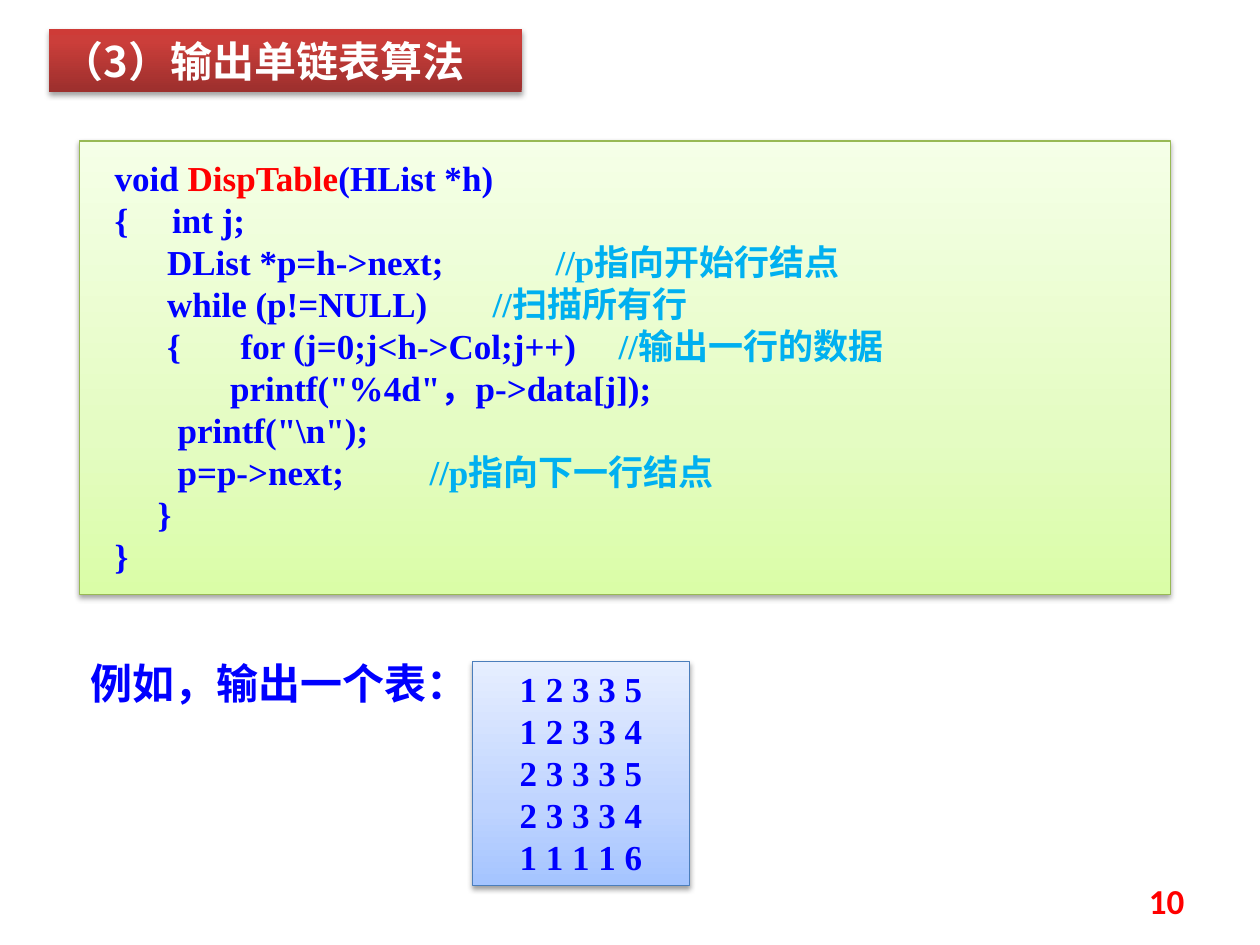
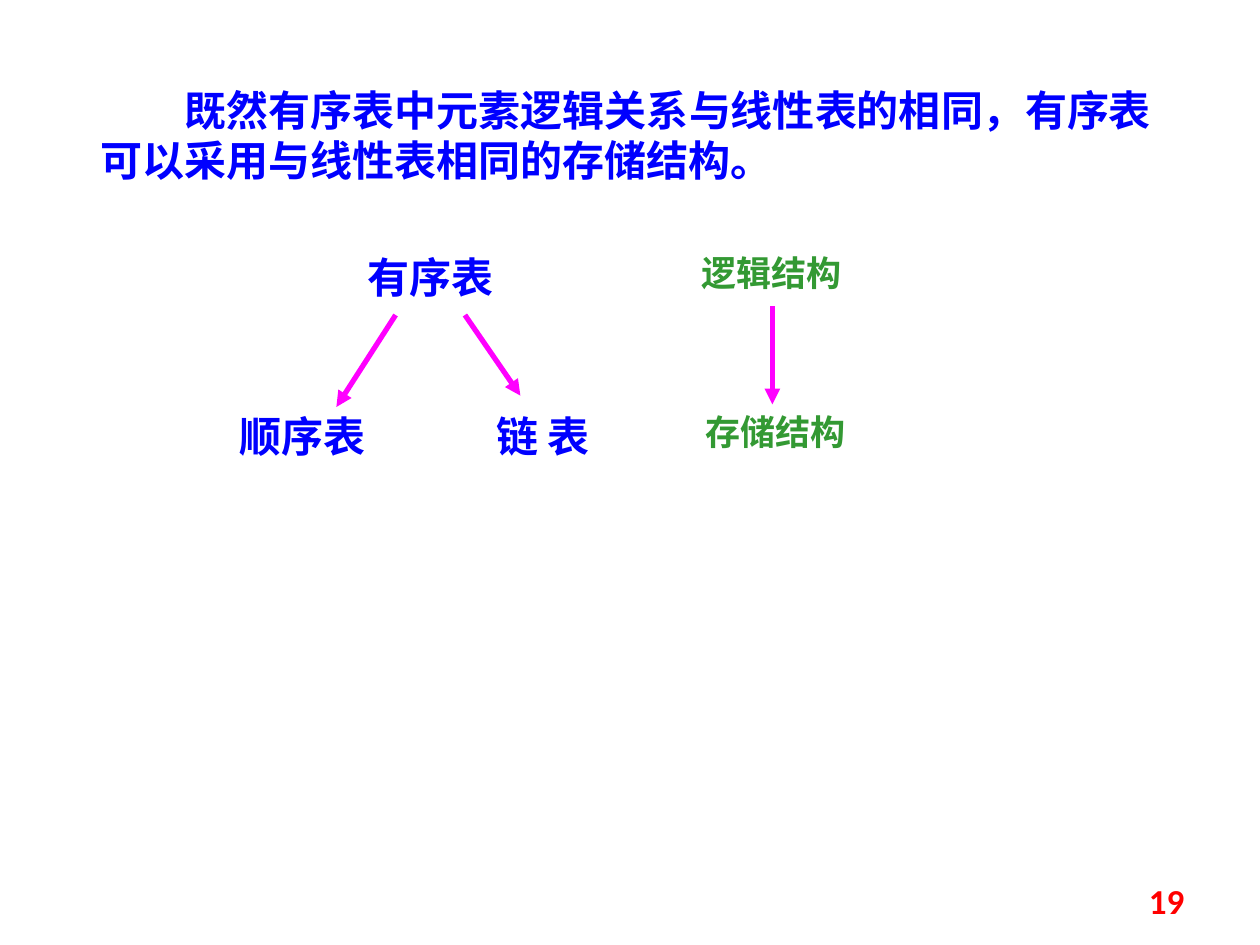
from dataclasses import dataclass

from lxml import etree
from pptx import Presentation
from pptx import util as u
from pptx.dml.color import RGBColor
from pptx.enum import shapes, text
from pptx.oxml import ns


@dataclass(frozen=True)
class Theme:
    # Colours
    blue: str = "0000FF"
    red: str = "FF0000"
    comment: str = "00B0F0"
    green: str = "339933"
    arrow: str = "FF00FF"
    white: str = "FFFFFF"
    code_line: str = "98B955"
    output_line: str = "4B7EBC"
    # Gradients run upwards: position in percent, colour
    title_fill: tuple = ((0, "9C2F2D"), (80, "CB3E3A"), (100, "CE3B37"))
    code_fill: tuple = ((0, "DAFDA7"), (35, "E4FCC2"), (100, "F5FFE7"))
    output_fill: tuple = ((0, "A4C4FF"), (35, "BFD4FF"), (100, "E6EEFF"))
    # Type
    chinese: str = "Noto Sans CJK SC"
    body: str = "Times New Roman"
    number: str = "Calibri"
    large: int = 24
    normal: int = 20


THEME = Theme()
LEFT, CENTER = text.PP_ALIGN.LEFT, text.PP_ALIGN.CENTER
TOP, MIDDLE = text.MSO_ANCHOR.TOP, text.MSO_ANCHOR.MIDDLE

CODE_LINES = [
    [("void ", THEME.blue), ("DispTable", THEME.red), ("(HList *h)", THEME.blue)],
    "{     int j;",
    [("      DList *p=h->next;\t\t", THEME.blue), ("//p指向开始行结点", THEME.comment)],
    [("      while (p!=NULL)\t\t", THEME.blue), ("//扫描所有行", THEME.comment)],
    [("      {\tfor (j=0;j<h->Col;j++)\t", THEME.blue), ("//输出一行的数据", THEME.comment)],
    '\t      printf("%4d"，p->data[j]);',
    '\tprintf("\\n");',
    [("\tp=p->next;\t\t", THEME.blue), ("//p指向下一行结点", THEME.comment)],
    "　 }",
    "}",
]
OUTPUT_ROWS = ["1 2 3 3 5", "1 2 3 3 4", "2 3 3 3 5", "2 3 3 3 4", "1 1 1 1 6"]


def inches(*lengths):
    return [u.Inches(length) for length in lengths]


def add_element(parent, tag, **attributes):
    element = etree.SubElement(parent, ns.qn(tag))
    for name, value in attributes.items():
        element.set(name, str(value))
    return element


def style_font(font, name, size, color):
    font.name, font.size, font.bold = name, u.Pt(size), True
    font.color.rgb = RGBColor.from_string(color)
    add_element(font._element, "a:ea", typeface=THEME.chinese)


def write(shape, lines, size, color=THEME.blue, font=THEME.body,
          align=LEFT, anchor=TOP, margins=(0.1, 0.05), indent=0):
    """Fill a shape with lines; a line is a string or a list of (text, colour)."""
    frame = shape.text_frame
    frame.word_wrap = True
    frame.auto_size = text.MSO_AUTO_SIZE.NONE
    frame.vertical_anchor = anchor
    frame.margin_left = frame.margin_right = u.Inches(margins[0])
    frame.margin_top = frame.margin_bottom = u.Inches(margins[1])
    for index, line in enumerate(lines):
        paragraph = frame.paragraphs[0] if index == 0 else frame.add_paragraph()
        paragraph.alignment = align
        if indent:
            paragraph._p.get_or_add_pPr().set("indent", str(u.Inches(indent)))
        style_font(paragraph.font, font, size, color)
        if isinstance(line, str):
            paragraph.add_run().text = line
            continue
        for words, run_color in line:
            run = paragraph.add_run()
            run.text = words
            run.font.color.rgb = RGBColor.from_string(run_color)


def style_panel(shape, stops, line_color=None):
    """Give a shape an upward gradient, an optional outline and a soft shadow."""
    shape.fill.gradient()
    shape.fill.gradient_angle = 90
    properties = shape._element.spPr
    stop_list = properties.find(".//" + ns.qn("a:gsLst"))
    for old_stop in list(stop_list):
        stop_list.remove(old_stop)
    for position, color in stops:
        stop = add_element(stop_list, "a:gs", pos=position * 1000)
        add_element(stop, "a:srgbClr", val=color)
    if line_color:
        shape.line.color.rgb = RGBColor.from_string(line_color)
        shape.line.width = u.Pt(0.75)
    else:
        shape.line.fill.background()
    effects = add_element(properties, "a:effectLst")
    shadow = add_element(effects, "a:outerShdw", blurRad=u.Pt(3.1), dist=u.Pt(1.7),
                         dir=90 * 60000, rotWithShape=0)
    shadow_color = add_element(shadow, "a:srgbClr", val="000000")
    add_element(shadow_color, "a:alpha", val=37000)


def add_title(slide, title, box):
    shape = slide.shapes.title
    shape.left, shape.top, shape.width, shape.height = inches(*box)
    style_panel(shape, THEME.title_fill)
    write(shape, [title], THEME.large, THEME.white, THEME.chinese)


def add_panel(slide, box, lines, stops, line_color, **options):
    panel = slide.shapes.add_shape(shapes.MSO_SHAPE.RECTANGLE, *inches(*box))
    style_panel(panel, stops, line_color)
    write(panel, lines, THEME.normal, **options)


def add_label(slide, box, words, size=THEME.large, **options):
    write(slide.shapes.add_textbox(*inches(*box)), [words], size, **options)


def add_arrow(slide, start, end):
    arrow = slide.shapes.add_connector(shapes.MSO_CONNECTOR.STRAIGHT, *inches(*start, *end))
    arrow.line.color.rgb = RGBColor.from_string(THEME.arrow)
    arrow.line.width = u.Pt(3)
    add_element(arrow.line._get_or_add_ln(), "a:tailEnd", type="triangle")
    add_element(arrow._element.spPr, "a:effectLst")


def add_page_number(slide, number):
    add_label(slide, (7.17, 6.95, 2.33, 0.4), str(number), THEME.normal, color=THEME.red,
              font=THEME.number, align=text.PP_ALIGN.RIGHT, anchor=MIDDLE)


def build_output_algorithm(presentation):
    slide = presentation.slides.add_slide(presentation.slide_layouts[5])
    add_title(slide, "（3）输出单链表算法", (0.39, 0.23, 3.75, 0.5))
    # Function listing
    add_panel(slide, (0.63, 1.12, 8.66, 3.6), CODE_LINES, THEME.code_fill,
              THEME.code_line, margins=(0.28, 0.12))
    # Sample output
    add_panel(slide, (3.75, 5.25, 1.72, 1.78), OUTPUT_ROWS, THEME.output_fill,
              THEME.output_line, align=CENTER)
    add_label(slide, (0.62, 5.17, 3.36, 0.5), "例如，输出一个表：", font=THEME.chinese)
    add_page_number(slide, 10)


def build_storage_structures(presentation):
    slide = presentation.slides.add_slide(presentation.slide_layouts[6])
    add_label(slide, (0.7, 0.62, 8.83, 0.91),
              "既然有序表中元素逻辑关系与线性表的相同，有序表可以采用与线性表相同的存储结构。",
              indent=0.67)
    # Ordered list and its two storage forms
    logic_top, storage_top = 1.95, 3.21
    add_label(slide, (2.82, logic_top, 2.05, 0.5), "有序表")
    add_label(slide, (1.8, storage_top, 1.65, 0.5), "顺序表")
    add_label(slide, (3.84, storage_top, 1.18, 0.5), "链 表")
    # Names of the two levels
    level_style = {"size": THEME.normal, "color": THEME.green}
    add_label(slide, (5.47, logic_top, 1.48, 0.43), "逻辑结构", **level_style)
    add_label(slide, (5.5, storage_top, 1.57, 0.43), "存储结构", **level_style)
    # Arrows from logic to storage
    for start, end in [((3.14, 2.5), (2.67, 3.23)),
                       ((3.69, 2.5), (4.13, 3.14)),
                       ((6.13, 2.43), (6.13, 3.21))]:
        add_arrow(slide, start, end)
    add_page_number(slide, 19)


def main():
    presentation = Presentation()
    presentation.slide_width, presentation.slide_height = inches(10, 7.5)
    build_output_algorithm(presentation)
    build_storage_structures(presentation)
    presentation.save("out.pptx")


if __name__ == "__main__":
    main()
